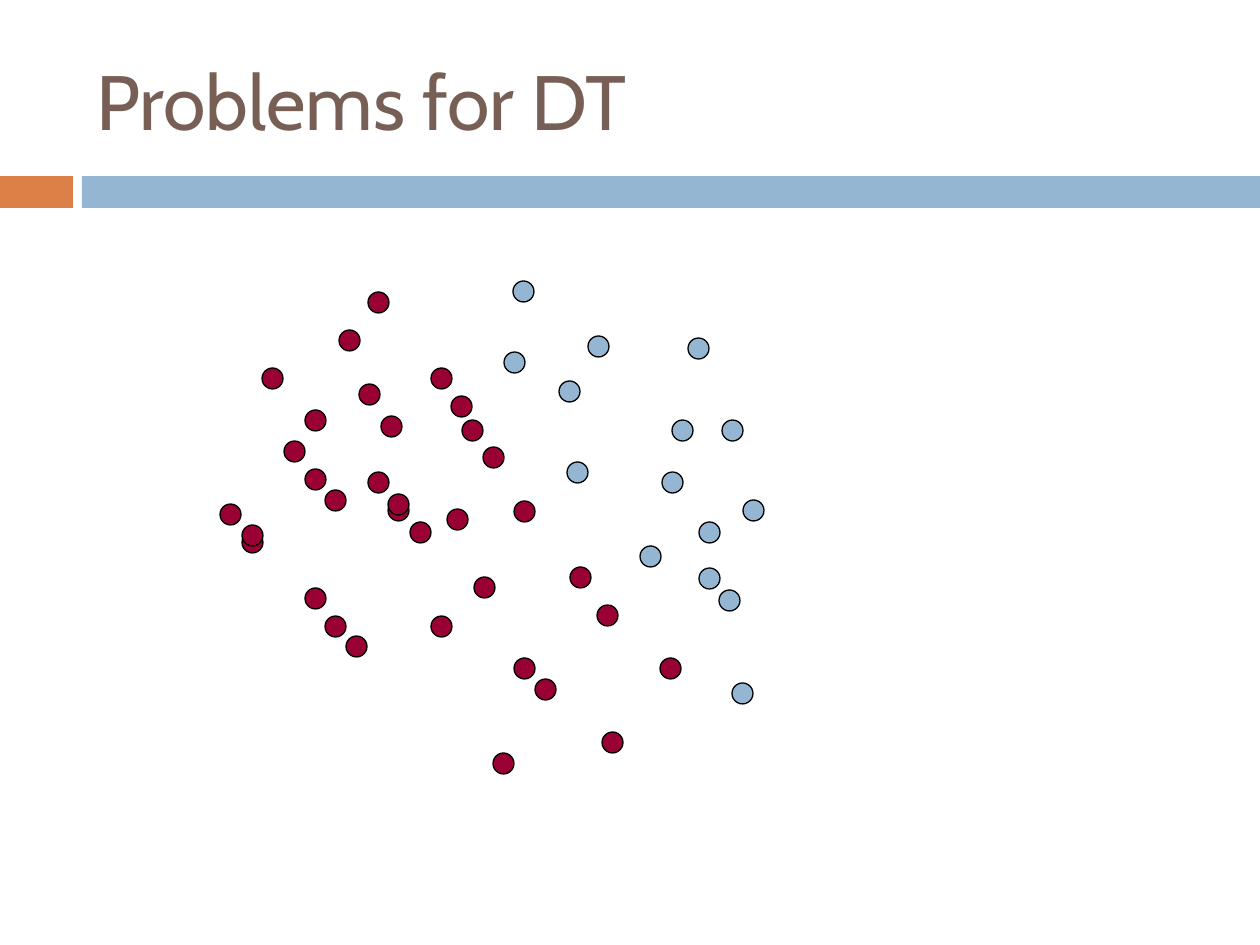
import pptx
import pptx.util
import pptx.dml.color
import pptx.enum.shapes
import pptx.enum.text

PX = 914400 / 126
COLORS = {"orange": "DD8047", "blue": "94B6D2", "red": "990033",
          "black": "000000", "brown": "775F55"}
DOT = 21
SHAPES = pptx.enum.shapes.MSO_SHAPE

# Left and top of each dot, by class
POINTS = {
    "red": [
        (262, 368), (284, 441), (431, 368), (220, 504), (368, 472), (462, 420),
        (368, 292), (305, 469), (451, 396), (242, 532), (388, 500), (483, 447),
        (305, 588), (660, 658), (325, 616), (431, 616), (514, 658), (447, 509),
        (514, 501), (602, 732), (570, 567), (346, 636), (597, 605), (535, 679),
        (493, 753), (359, 384), (339, 330), (474, 577), (242, 525), (388, 494),
        (381, 416), (325, 490), (410, 522), (305, 410),
    ],
    "blue": [
        (567, 462), (588, 336), (640, 546), (559, 381), (699, 568), (672, 420),
        (504, 352), (513, 281), (662, 472), (732, 683), (719, 590), (699, 522),
        (743, 500), (688, 338), (722, 420),
    ],
}


def px(*lengths):
    return [pptx.util.Emu(round(n * PX)) for n in lengths]


def rgb(name):
    return pptx.dml.color.RGBColor.from_string(COLORS[name])


def add_shape(s, kind, box, fill, line=None):
    sp = s.shapes.add_shape(kind, *px(*box))
    sp.shadow.inherit = False
    sp.fill.solid()
    sp.fill.fore_color.rgb = rgb(fill)
    if line:
        sp.line.color.rgb = rgb(line)
        sp.line.width = pptx.util.Pt(0.75)
    else:
        sp.line.fill.background()


def add_title(s, text, box):
    tf = s.shapes.add_textbox(*px(*box)).text_frame
    tf.word_wrap = True
    tf.vertical_anchor = pptx.enum.text.MSO_ANCHOR.MIDDLE
    r = tf.paragraphs[0].add_run()
    r.text = text
    for name, value in {"name": "Cabin", "size": pptx.util.Pt(44)}.items():
        setattr(r.font, name, value)
    r.font.color.rgb = rgb("brown")


def main():
    prs = pptx.Presentation()
    prs.slide_width, prs.slide_height = px(1260, 945)
    s = prs.slides.add_slide(prs.slide_layouts[6])

    # Header band and title
    add_shape(s, SHAPES.RECTANGLE, (0, 176, 73, 32), "orange")
    add_shape(s, SHAPES.RECTANGLE, (82, 176, 1178, 32), "blue")
    add_title(s, "Problems for DT", (84, 32, 1124, 136))

    # Scattered data points
    for color, points in POINTS.items():
        for left, top in points:
            add_shape(s, SHAPES.OVAL, (left, top, DOT, DOT), color, "black")

    prs.save("out.pptx")


if __name__ == "__main__":
    main()
